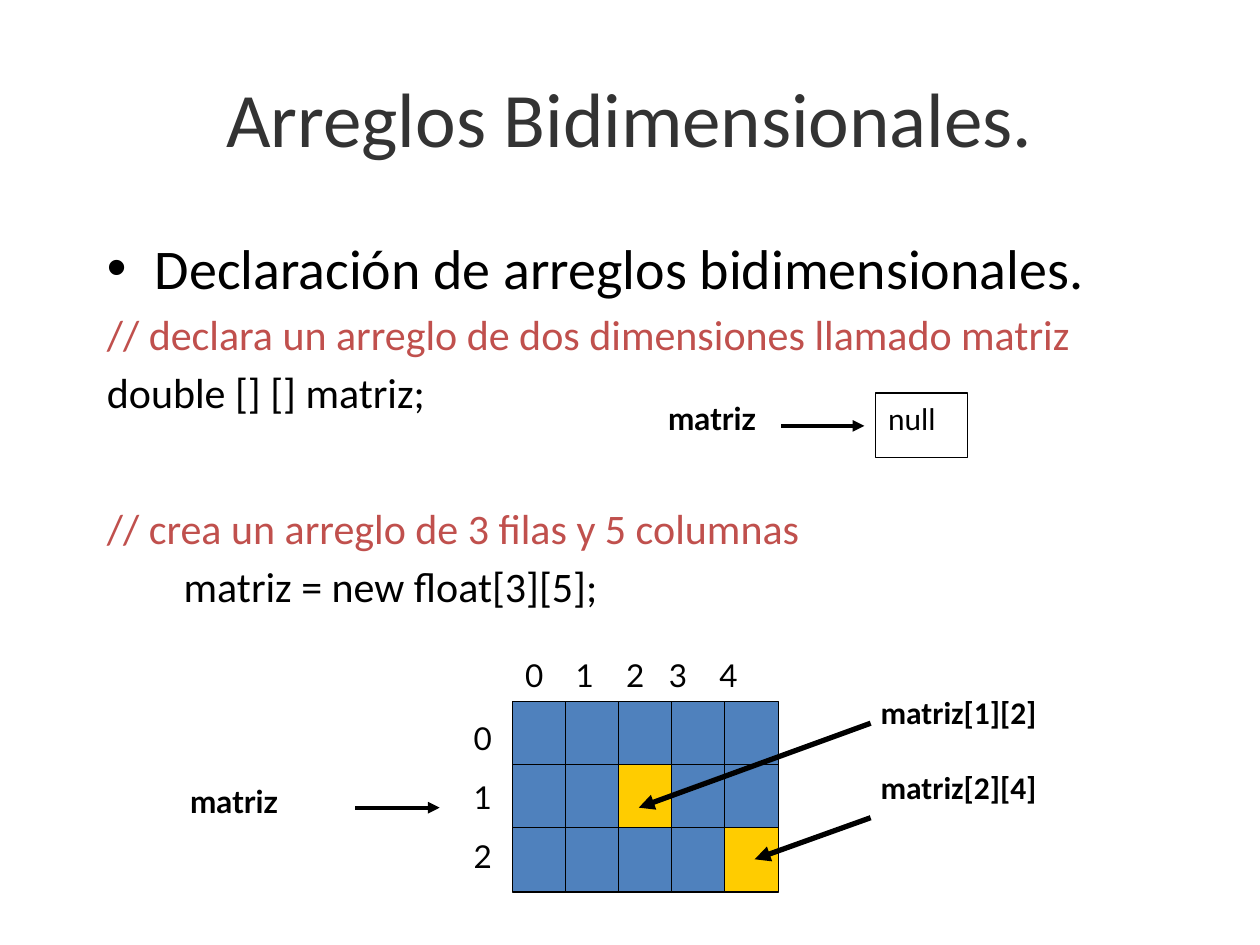
from lxml import etree
from pptx import Presentation
from pptx.dml.color import RGBColor
from pptx.enum.shapes import MSO_CONNECTOR, MSO_SHAPE
from pptx.enum.text import MSO_ANCHOR, PP_ALIGN
from pptx.oxml.ns import qn
from pptx.util import Inches, Pt

LEFT, CENTER, RIGHT = PP_ALIGN.LEFT, PP_ALIGN.CENTER, PP_ALIGN.RIGHT
TOP, MIDDLE = MSO_ANCHOR.TOP, MSO_ANCHOR.MIDDLE
RECTANGLE, STRAIGHT = MSO_SHAPE.RECTANGLE, MSO_CONNECTOR.STRAIGHT
BLACK, RED, BLUE, YELLOW = "000000", "C0504D", "4F81BD", "FFCC00"


def color(value):
    return RGBColor.from_string(value)


def add_text(shape, text, size=18, font="Calibri", fill=BLACK, bold=False,
             align=LEFT, anchor=TOP, before=0):
    """Write one paragraph, after any text the shape already has."""
    frame = shape.text_frame
    frame.word_wrap = True
    frame.vertical_anchor = anchor
    paragraph = frame.add_paragraph() if frame.text else frame.paragraphs[0]
    paragraph.alignment = align
    paragraph.space_before = Pt(before)
    run = paragraph.add_run()
    run.text = text
    run.font.size = Pt(size)
    run.font.name = font
    run.font.bold = bold
    run.font.color.rgb = color(fill)
    return paragraph


presentation = Presentation()
presentation.slide_width = Inches(10)
presentation.slide_height = Inches(7.5)
slide = presentation.slides.add_slide(presentation.slide_layouts[6])
shapes = slide.shapes

# Title
title = shapes.add_textbox(Inches(0.5), Inches(0.3), Inches(9), Inches(1.25))
add_text(title, "Arreglos Bidimensionales.", size=44, fill="333333",
         align=CENTER, anchor=MIDDLE)

# Bullet and code lines: text, size, colour, left margin, first indent, space before
body = shapes.add_textbox(Inches(0.75), Inches(1.8), Inches(8.94), Inches(5.39))
body_lines = [
    ("Declaración de arreglos bidimensionales.", 32, BLACK, 0.38, -0.38, 6.4),
    ("// declara un arreglo de dos dimensiones llamado matriz", 24, RED, 0, 0, 4.5),
    ("double [] [] matriz;", 24, BLACK, 0, 0, 4.5),
    ("// crea un arreglo de 3 filas y 5 columnas", 24, RED, 0, 0, 49),
    ("matriz = new float[3][5];", 24, BLACK, 0.61, 0, 4.5),
]
for text, size, fill, margin, indent, before in body_lines:
    paragraph = add_text(body, text, size=size, fill=fill, before=before)
    properties = paragraph._p.get_or_add_pPr()
    properties.set("marL", str(Inches(margin)))
    properties.set("indent", str(Inches(indent)))
    if indent:
        etree.SubElement(properties, qn("a:buFont")).set("typeface", "Arial")
        etree.SubElement(properties, qn("a:buChar")).set("char", "•")

# Null reference box
null_box = shapes.add_shape(RECTANGLE, Inches(6.95), Inches(3.12), Inches(0.73), Inches(0.51))
null_box.shadow.inherit = False
null_box.fill.background()
null_box.line.color.rgb = color(BLACK)
null_box.line.width = Pt(0.75)
add_text(null_box, "null")

# Matrix cells
highlighted = {(1, 2), (2, 4)}
for row in range(3):
    for column in range(5):
        cell = shapes.add_shape(RECTANGLE, Inches(4.07 + 0.42 * column),
                                Inches(5.57 + 0.5 * row), Inches(0.43), Inches(0.51))
        cell.shadow.inherit = False
        cell.fill.solid()
        cell.fill.fore_color.rgb = color(YELLOW if (row, column) in highlighted else BLUE)
        cell.line.color.rgb = color(BLACK)
        cell.line.width = Pt(0.75)

# Column numbers, set on tab stops
column_labels = shapes.add_textbox(Inches(4.07), Inches(5.16), Inches(2.22), Inches(0.4))
paragraph = add_text(column_labels, "0\t1\t2\t3\t4", font="Lato")
tab_list = etree.SubElement(paragraph._p.get_or_add_pPr(), qn("a:tabLst"))
for position in (0.4, 0.8, 1.14, 1.54):
    tab = etree.SubElement(tab_list, qn("a:tab"))
    tab.set("pos", str(Inches(position)))
    tab.set("algn", "l")

# Other labels: left, top, width, height, lines, font, bold, alignment, gap
labels = [
    (4.86, 3.12, 1.24, 0.4, ["matriz"], "Lato", True, RIGHT, 0),
    (1.41, 6.16, 1.28, 0.5, ["matriz"], "Lato", True, LEFT, 0),
    (3.66, 5.66, 0.49, 1.34, ["0", "1", "2"], "Lato", False, LEFT, 12),
    (6.89, 5.45, 1.92, 1.3, ["matriz[1][2]", "matriz[2][4]"], "Calibri", True, LEFT, 21.6),
]
for left, top, width, height, lines, font, bold, align, gap in labels:
    label = shapes.add_textbox(Inches(left), Inches(top), Inches(width), Inches(height))
    for index, line in enumerate(lines):
        add_text(label, line, font=font, bold=bold, align=align, before=gap if index else 0)

# Arrows: start, end, line width
arrows = [
    ((6.2, 3.38), (6.86, 3.38), 2.25),
    ((2.82, 6.41), (3.49, 6.41), 2.25),
    ((6.91, 5.74), (5.07, 6.41), 3),
    ((6.91, 6.49), (5.99, 6.82), 3),
]
for start, end, width in arrows:
    arrow = shapes.add_connector(STRAIGHT, *map(Inches, start + end))
    arrow.line.color.rgb = color(BLACK)
    arrow.line.width = Pt(width)
    etree.SubElement(arrow.line._get_or_add_ln(), qn("a:tailEnd")).set("type", "triangle")
    etree.SubElement(arrow._element.spPr, qn("a:effectLst"))

presentation.save("out.pptx")
